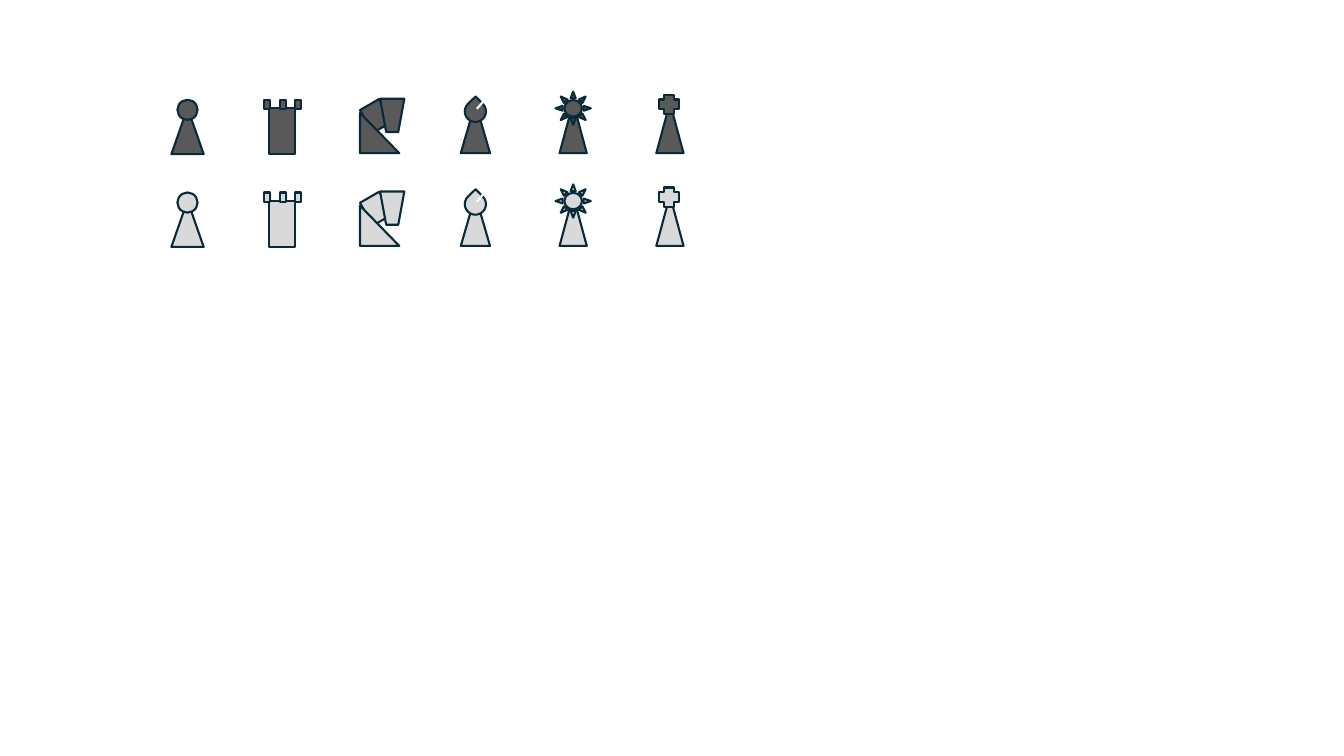
from lxml import etree
from pptx import Presentation
from pptx.dml.color import RGBColor
from pptx.enum.shapes import MSO_CONNECTOR, MSO_SHAPE as S
from pptx.oxml.ns import qn
from pptx.util import Inches, Pt

COLORS = {"square": "FFFFFF", "outline": "092A39", "dark": "595959", "light": "D9D9D9"}
SQUARE = 0.79
FIRST_LEFT, FIRST_TOP = 1.45, 0.84
COLUMN_STEP, ROW_STEP = 0.96, 0.92

# Shapes of each piece: preset, left, top, width, height within its square, rotation
PIECES = {
    "pawn": [(S.ISOSCELES_TRIANGLE, 0.25, 0.23, 0.32, 0.46, 0),
             (S.OVAL, 0.31, 0.15, 0.2, 0.2, 0)],
    "rook": [(S.RECTANGLE, 0.26, 0.23, 0.26, 0.46, 0)]
            + [(S.RECTANGLE, left, 0.15, 0.06, 0.09, 0) for left in (0.21, 0.52, 0.37)],
    "knight": [(S.RECTANGLE, 0.23, 0.2, 0.26, 0.22, 60),
               (S.RIGHT_TRIANGLE, 0.2, 0.28, 0.39, 0.4, 0),
               (S.TRAPEZOID, 0.4, 0.14, 0.24, 0.33, 180)],
    "bishop": [(S.ISOSCELES_TRIANGLE, 0.24, 0.18, 0.29, 0.5, 0),
               (S.TEAR, 0.28, 0.16, 0.21, 0.21, 315.9)],
    "queen": [(S.ISOSCELES_TRIANGLE, 0.26, 0.18, 0.27, 0.5, 0),
              (S.SUN, 0.22, 0.07, 0.35, 0.33, 0)],
    "king": [(S.ISOSCELES_TRIANGLE, 0.26, 0.18, 0.27, 0.5, 0),
             (S.CROSS, 0.29, 0.1, 0.19, 0.19, 0)],
}
BISHOP_SLIT = (0.53, 0.09, 0.4, 0.24)


class ChessSlide:
    def __init__(self, slide):
        self.slide = slide
        self.line_width = Pt(1.5)

    def color(self, name):
        return RGBColor.from_string(COLORS[name])

    def add_preset(self, group, preset, left, top, width, height, fill,
                   rotation=0, outlined=True):
        shape = group.shapes.add_shape(
            preset, Inches(left), Inches(top), Inches(width), Inches(height))
        shape.rotation = rotation
        shape.shadow.inherit = False
        shape.fill.solid()
        shape.fill.fore_color.rgb = self.color(fill)
        if outlined:
            shape.line.color.rgb = self.color("outline")
            shape.line.width = self.line_width
        else:
            shape.line.fill.background()

    def add_slit(self, group, x1, y1, x2, y2):
        slit = group.shapes.add_connector(
            MSO_CONNECTOR.STRAIGHT, Inches(x1), Inches(y1), Inches(x2), Inches(y2))
        slit.line.color.rgb = self.color("square")
        slit.line.width = self.line_width
        etree.SubElement(slit._element.spPr, qn("a:effectLst"))

    def add_piece(self, name, left, top, side, on_square=True):
        """Draw one chess piece as a group, with its white square behind it."""
        group = self.slide.shapes.add_group_shape()
        if on_square:
            self.add_preset(group, S.RECTANGLE, left, top, SQUARE, SQUARE, "square",
                            outlined=False)
        for preset, dx, dy, width, height, rotation in PIECES[name]:
            self.add_preset(group, preset, left + dx, top + dy, width, height, side, rotation)
        if name == "bishop":
            x1, y1, x2, y2 = BISHOP_SLIT
            self.add_slit(group, left + x1, top + y1, left + x2, top + y2)


def main():
    deck = Presentation()
    deck.slide_width, deck.slide_height = Inches(13.33), Inches(7.5)
    chess = ChessSlide(deck.slides.add_slide(deck.slide_layouts[6]))
    for row, side in enumerate(("dark", "light")):
        for column, name in enumerate(PIECES):
            chess.add_piece(name, FIRST_LEFT + column * COLUMN_STEP, FIRST_TOP + row * ROW_STEP,
                            side, on_square=(side, name) != ("dark", "pawn"))
    deck.save("out.pptx")


if __name__ == "__main__":
    main()
